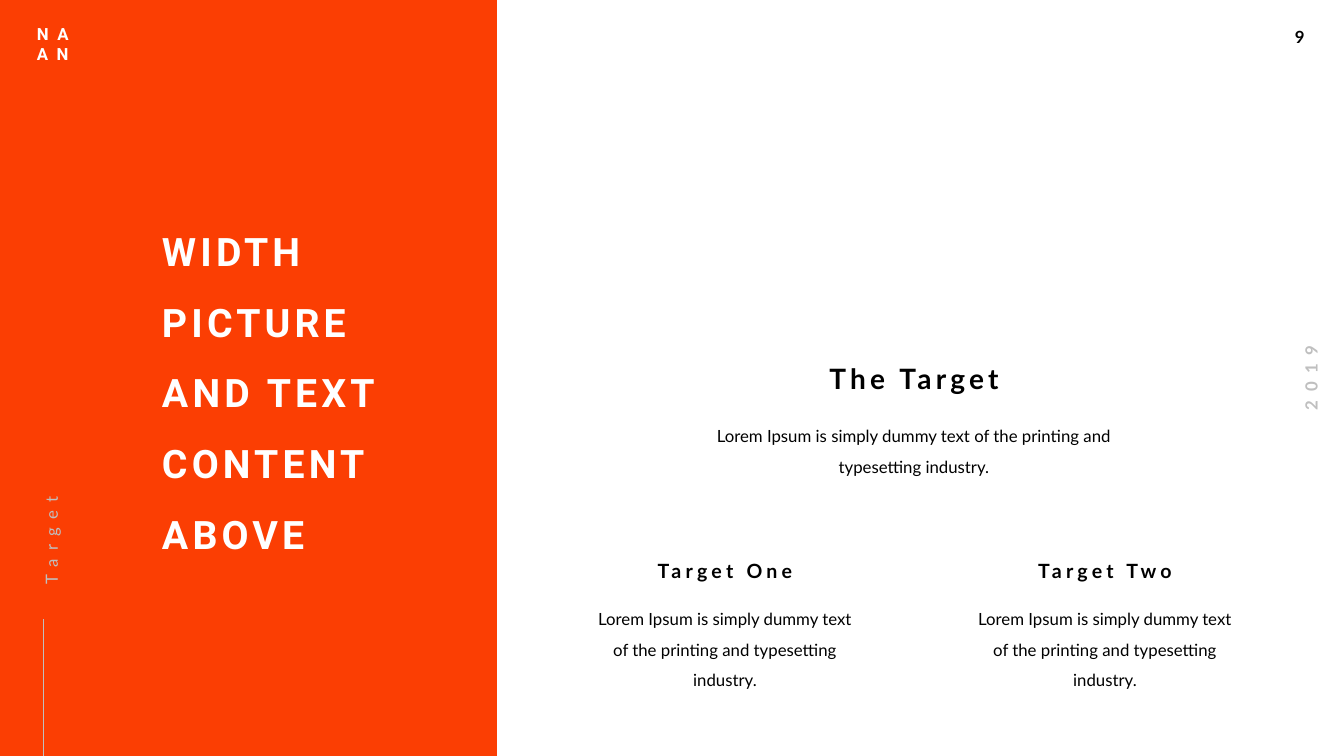
from pptx import Presentation
from pptx.dml.color import RGBColor
from pptx.enum.shapes import MSO_CONNECTOR, MSO_SHAPE
from pptx.enum.text import MSO_AUTO_SIZE, PP_ALIGN
from pptx.oxml.ns import qn
from pptx.util import Pt

PIXEL = 914400 / 100.8
SLIDE_WIDTH, SLIDE_HEIGHT = 1344, 756
PANEL_WIDTH = 497

ORANGE = RGBColor(0xFB, 0x3E, 0x03)
WHITE = RGBColor(0xFF, 0xFF, 0xFF)
BLACK = RGBColor(0, 0, 0)
GRAY = RGBColor(0xBF, 0xBF, 0xBF)

LEFT, CENTER = PP_ALIGN.LEFT, PP_ALIGN.CENTER
GROW = MSO_AUTO_SIZE.SHAPE_TO_FIT_TEXT
STRAIGHT = MSO_CONNECTOR.STRAIGHT
RECTANGLE = MSO_SHAPE.RECTANGLE

BODY = "Lorem Ipsum is simply dummy text of the printing and typesetting industry."


def px(value):
    return round(value * PIXEL)


def add_text(slide, box, lines, size=12, font="Lato", color=BLACK, bold=False,
             spacing=0, align=LEFT, wrap=True, rotation=0):
    """Text box with the default insets; returns it for further styling."""
    shape = slide.shapes.add_textbox(*map(px, box))
    shape.rotation = rotation
    frame = shape.text_frame
    frame.word_wrap = wrap
    frame.auto_size = GROW
    frame.text = "\n".join(lines)
    for paragraph in frame.paragraphs:
        paragraph.alignment = align
        paragraph.font.size = Pt(size)
        paragraph.font.name = font
        paragraph.font.bold = bold
        paragraph.font.color.rgb = color
        for run in paragraph.runs:
            run.font.size = Pt(size)
            run._r.get_or_add_rPr().set("spc", str(spacing * 100))
    return shape


def add_content(slide, box, text, line_spacing=1.5, **style):
    """Content text: only a right inset, with space before the paragraph."""
    frame = add_text(slide, box, [text], **style).text_frame
    frame.margin_left = frame.margin_top = frame.margin_bottom = 0
    frame.paragraphs[0].space_before = Pt(12)
    frame.paragraphs[0].line_spacing = line_spacing


def add_heading(slide, box, text, size):
    add_content(slide, box, text, line_spacing=1.0, size=size, bold=True,
                spacing=3, align=CENTER)


def add_panel(slide, left, top, width, height):
    # Orange background
    panel = slide.shapes.add_shape(RECTANGLE, *map(px, (left, top, width, height)))
    panel.shadow.inherit = False
    panel.fill.solid()
    panel.fill.fore_color.rgb = ORANGE
    panel.line.fill.background()

    # Section marker: line from the bottom edge and upright label
    line_x, bottom = px(left + 43), top + height
    line = slide.shapes.add_connector(STRAIGHT, line_x, px(bottom),
                                      line_x, px(bottom - 137))
    line.line.color.rgb = GRAY
    line.line.width = Pt(0.5)
    properties = line._element.spPr
    properties.append(properties.makeelement(qn("a:effectLst"), {}))
    add_content(slide, (left - 49, top + 478, 186, 26), "Target",
                color=GRAY, spacing=6, rotation=270)

    # Slide title and monogram
    add_content(slide, (left + 162, top + 204, 276, 350),
                "WIDTH PICTURE AND TEXT CONTENT ABOVE",
                size=28, font="Roboto", color=WHITE, bold=True, spacing=3)
    add_text(slide, (left + 27, top + 19, 59, 50), ["NA", "AN"],
             font="Roboto", color=WHITE, bold=True, spacing=6)


def add_introduction(slide, left, top, width):
    heading_width = 353
    heading_left = left + (width - heading_width) / 2
    add_heading(slide, (heading_left, top, heading_width, 34), "The Target", 20)
    add_content(slide, (left, top + 55, width, 57), BODY, align=CENTER)


def add_target(slide, left, top, width, title):
    heading_width = 237
    heading_left = left + (width - heading_width) / 2
    add_heading(slide, (heading_left, top, heading_width, 24), title, 14)
    add_content(slide, (left, top + 40, width, 88), BODY, align=CENTER)


def add_margin_marks(slide, right):
    add_text(slide, (right - 59, 22, 41, 30), ["9"], bold=True, wrap=False)
    add_text(slide, (right - 80, 363, 94, 30), ["2019"], color=GRAY, bold=True,
             spacing=6, align=CENTER, wrap=False, rotation=270)


presentation = Presentation()
presentation.slide_width = px(SLIDE_WIDTH)
presentation.slide_height = px(SLIDE_HEIGHT)
slide = presentation.slides.add_slide(presentation.slide_layouts[6])

add_margin_marks(slide, SLIDE_WIDTH)
add_panel(slide, 0, 0, PANEL_WIDTH, SLIDE_HEIGHT)
add_introduction(slide, 686, 361, 466)
for column, title in enumerate(["Target One", "Target Two"]):
    add_target(slide, 598 + 380 * column, 559, 264, title)

presentation.save("out.pptx")
